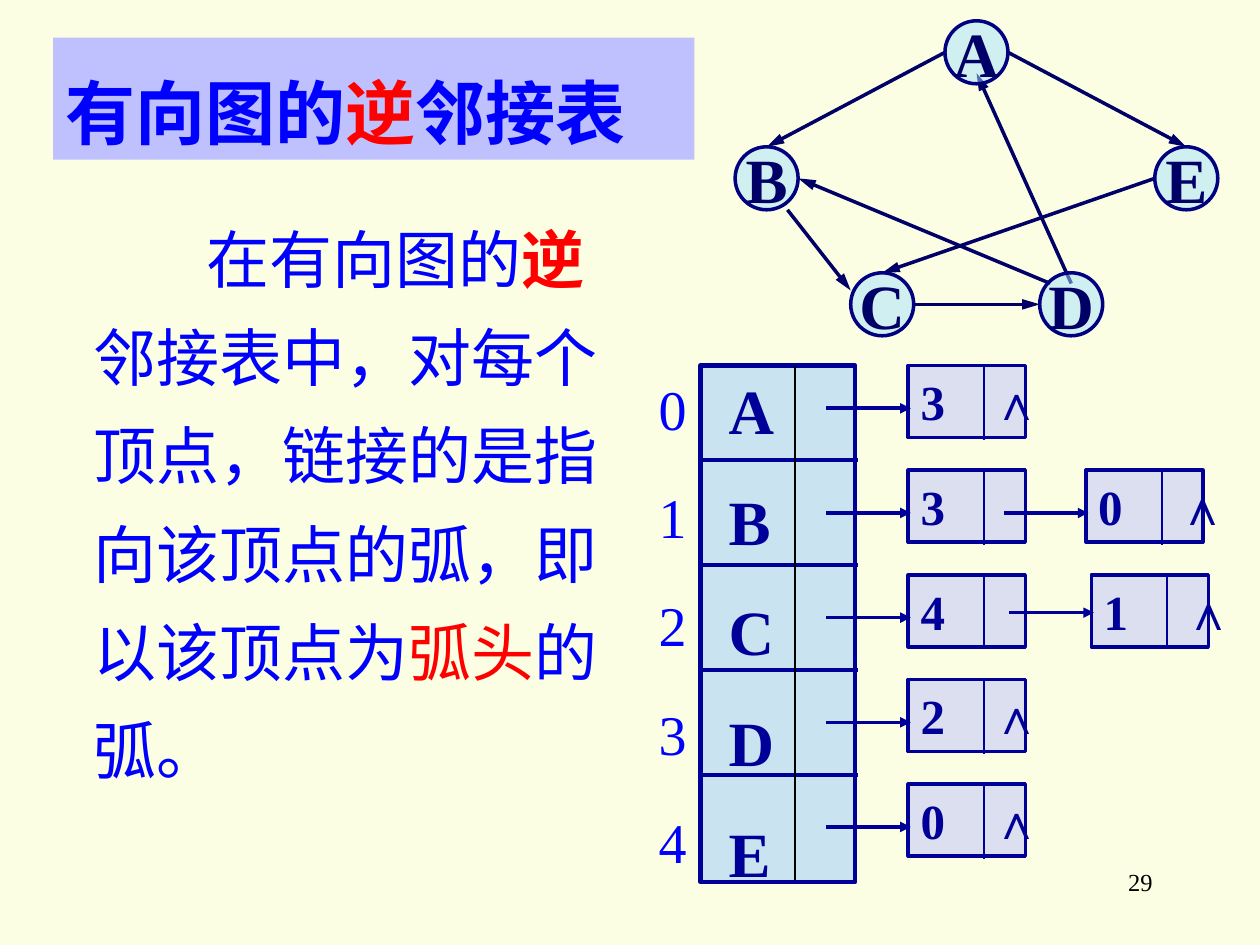
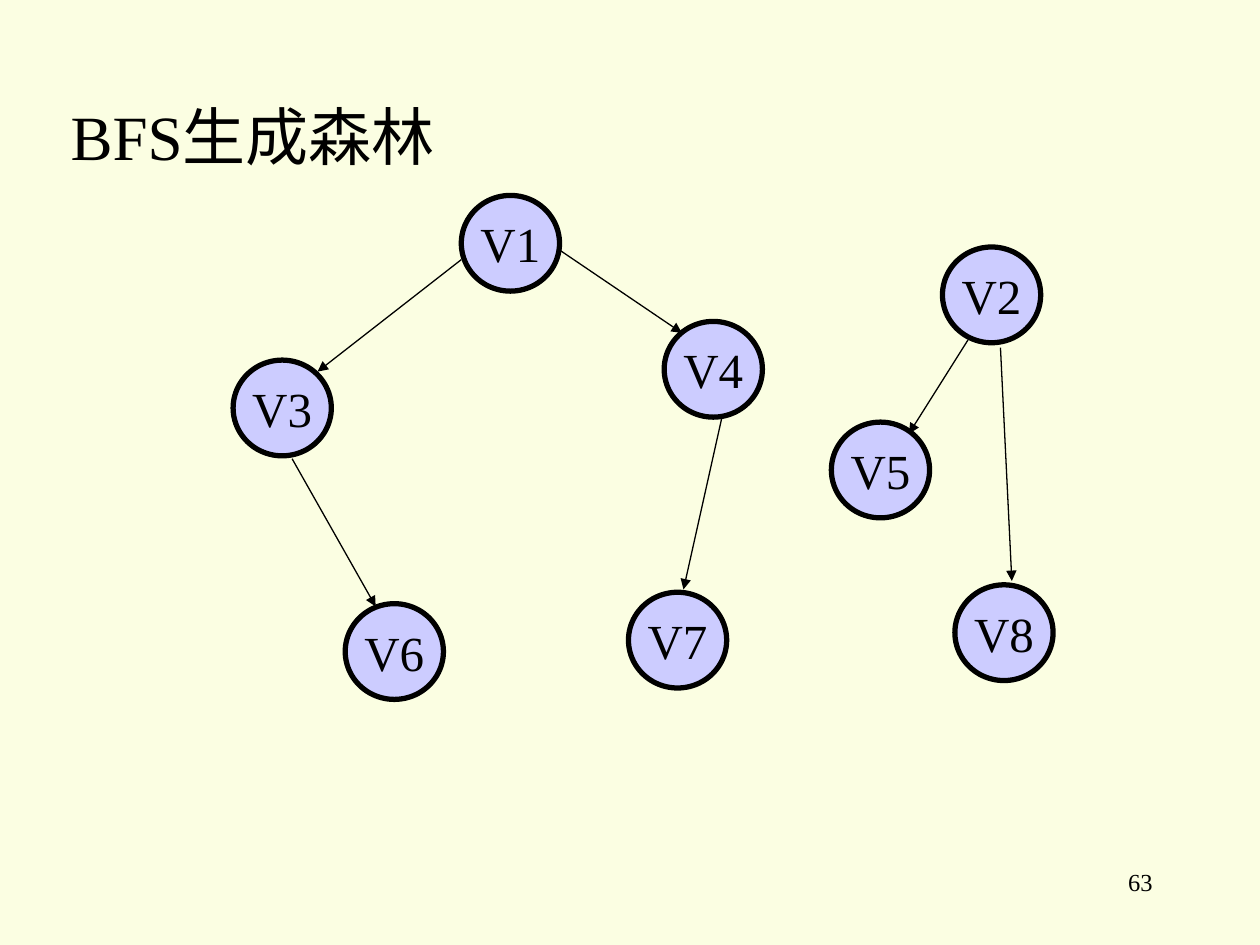
from pptx import Presentation
from pptx import util as u
from pptx.dml.color import RGBColor
from pptx.enum import shapes, text
from pptx.oxml.ns import qn
from lxml import etree

# Shared look
CREAM, LILAC, BLUE, RED, BLACK = "FBFEE2", "BEC1FE", "0000FF", "FF0000", "000000"
NAVY, INK, DEEP, SKY, ICE, MAUVE = "000080", "000066", "000099", "99CCFF", "A7E2FF", "CCCCFF"
SERIF, SANS = "Times New Roman", "Arial"
LEFT, MID, RIGHT = text.PP_ALIGN.LEFT, text.PP_ALIGN.CENTER, text.PP_ALIGN.RIGHT

# Content: runs are (text, colour, bold); lengths are in centimetres
HEAD = [("有向图的", BLUE, True), ("逆", RED, True), ("邻接表", BLUE, True)]
BODY = [("在有向图的", BLUE, False), ("逆", RED, True),
        ("邻接表中，对每个顶点，链接的是指向该顶点的弧，即以该顶点为", BLUE, False),
        ("弧头", RED, False), ("的弧。", BLUE, False)]

# Graphs: node corners, then edges whose ends are fractions of the node box
ARCS = {
    "nodes": {"A": (19.05, 0.42), "B": (14.82, 2.96), "E": (23.28, 2.96),
              "C": (17.15, 5.5), "D": (20.96, 5.5)},
    "edges": [("A", 0, .5, "B", .5, 0), ("B", .83, 1, "C", 0, .28),
              ("C", 1, .5, "D", 0, .5), ("D", .5, .17, "A", .5, .83),
              ("A", 1, .5, "E", .5, 0), ("D", .17, .17, "B", 1, .5),
              ("E", 0, .5, "C", .5, 0)],
    "size": (1.27, 1.27), "fill": ICE, "alpha": 50, "rim": (NAVY, 2),
    "arrow": (INK, 2, "lg"), "font": (36, INK, True)}
TREES = {
    "nodes": {"V1": (9.3, 3.94), "V2": (19, 4.98), "V3": (4.7, 7.26), "V4": (13.39, 6.48),
              "V5": (16.76, 8.51), "V6": (6.96, 12.17), "V7": (12.67, 11.94),
              "V8": (19.25, 11.79)},
    "edges": [("V1", 0, .67, "V3", .86, .12), ("V1", 1, .57, "V4", .18, .12),
              ("V3", .6, 1.03, "V6", .31, .03), ("V2", .59, 1.05, "V8", .58, -.04),
              ("V4", .59, .99, "V7", .56, -.03), ("V2", .26, .97, "V5", .79, .12)],
    "size": (1.98, 1.93), "fill": MAUVE, "alpha": 100, "rim": (BLACK, 3),
    "arrow": (BLACK, .75, "med"), "font": (28, BLACK, False)}

# Inverse lists: each cell is (index, left, arrow drop)
FIRST = 18.31
CHAINS = [("A", [("3", FIRST, .86)]),
          ("B", [("3", FIRST, .86), ("0", 21.89, .86)]),
          ("C", [("4", FIRST, .86), ("1", 22, .76)]),
          ("D", [("2", FIRST, .86)]),
          ("E", [("0", FIRST, .86)])]


def rgb(code):
    return RGBColor.from_string(code)


def write(shape, paras, size, font=SERIF, align=LEFT, gap=0, lines=None,
          wrap=True, grow=False, anchor=text.MSO_ANCHOR.TOP):
    frame = shape.text_frame
    frame.word_wrap, frame.vertical_anchor = wrap, anchor
    frame.auto_size = (text.MSO_AUTO_SIZE.SHAPE_TO_FIT_TEXT if grow
                       else text.MSO_AUTO_SIZE.NONE)
    for i, runs in enumerate(paras):
        para = frame.add_paragraph() if i else frame.paragraphs[0]
        para.alignment = align
        if i and gap:
            para.space_before = u.Pt(gap)
        if lines:
            para.line_spacing = lines
        for words, color, bold in runs:
            run = para.add_run()
            run.text = words
            run.font.name, run.font.size, run.font.bold = font, u.Pt(size), bold
            run.font.color.rgb = rgb(color)
    return frame


def box(slide, x, y, w, h):
    return slide.shapes.add_textbox(u.Cm(x), u.Cm(y), u.Cm(w), u.Cm(h))


def block(slide, kind, x, y, w, h, fill, alpha, rim):
    shape = slide.shapes.add_shape(kind, u.Cm(x), u.Cm(y), u.Cm(w), u.Cm(h))
    shape.shadow.inherit = False
    shape.fill.solid()
    shape.fill.fore_color.rgb = rgb(fill)
    if alpha < 100:
        tint = shape.fill._xPr.find(qn("a:solidFill"))[0]
        etree.SubElement(tint, qn("a:alpha"), val=str(alpha * 1000))
    shape.line.color.rgb, shape.line.width = rgb(rim[0]), u.Pt(rim[1])
    return shape


def line(slide, x1, y1, x2, y2, color, width, head=None):
    link = slide.shapes.add_connector(shapes.MSO_CONNECTOR.STRAIGHT,
                                      u.Cm(x1), u.Cm(y1), u.Cm(x2), u.Cm(y2))
    link.line.color.rgb, link.line.width = rgb(color), u.Pt(width)
    if head:
        etree.SubElement(link.line._get_or_add_ln(), qn("a:tailEnd"),
                         type="triangle", w="med", len=head)
    etree.SubElement(link._element.spPr, qn("a:effectLst"))


def start(deck, number, runs, place, size, **style):
    slide = deck.slides.add_slide(deck.slide_layouts[5])
    title = slide.shapes.title
    title.left, title.top, title.width, title.height = map(u.Cm, place)
    write(title, [runs], size, **style)
    page = box(slide, 18.21, 17.35, 5.28, 1.27)
    write(page, [[(number, BLACK, False)]], 14, align=RIGHT)
    return slide


def graph(slide, net):
    nodes, (w, h) = net["nodes"], net["size"]
    color, width, head = net["arrow"]
    for a, ax, ay, b, bx, by in net["edges"]:
        (x1, y1), (x2, y2) = nodes[a], nodes[b]
        line(slide, x1 + ax * w, y1 + ay * h, x2 + bx * w, y2 + by * h, color, width, head)
    size, ink, bold = net["font"]
    for name, (x, y) in nodes.items():
        disc = block(slide, shapes.MSO_SHAPE.OVAL, x, y, w, h,
                     net["fill"], net["alpha"], net["rim"])
        write(disc, [[(name, ink, bold)]], size, align=MID, wrap=False,
              anchor=text.MSO_ANCHOR.MIDDLE)


def lists(slide):
    rect, left, top, step = shapes.MSO_SHAPE.RECTANGLE, 14.12, 7.37, 2.11
    # Vertex column with its rules and row numbers
    table = block(slide, rect, left, top, 3.12, 10.41, SKY, 50, (DEEP, 2.5))
    frame = write(table, [[(name, DEEP, True)] for name, _ in CHAINS], 36, gap=20)
    frame.margin_left = u.Cm(.57)
    for i in range(len(CHAINS) - 1):
        y = 9.27 + 2.12 * i
        line(slide, left, y, left + 3.18, y, DEEP, 2.25)
    line(slide, 16.03, top, 16.03, 17.73, BLACK, 1)
    marks = [[(str(i), BLUE, False)] for i in range(len(CHAINS))]
    write(box(slide, 13.03, 7.42, 1.07, 10.13), marks, 32, gap=23.5, wrap=False, grow=True)
    # Linked cells; the last one in each row holds the end mark
    for i, (_, cells) in enumerate(CHAINS):
        y = top + step * i
        for index, x, drop in cells:
            cell = block(slide, rect, x, y, 2.36, 1.45, LILAC, 50, (DEEP, 2))
            write(cell, [[(index, DEEP, True)]], 28)
            line(slide, x + 1.53, y + .03, x + 1.53, y + 1.5, DEEP, 1)
            line(slide, x - 1.65, y + drop, x + .05, y + drop, DEEP, 2, "med")
        shift = 1.45 if len(cells) == 1 else 1.62
        write(box(slide, x + shift, y, .84, 1.45), [[("∧", DEEP, True)]], 28,
              font=SANS, wrap=False, grow=True)


def main():
    deck = Presentation()
    deck.slide_width, deck.slide_height = u.Cm(25.4), u.Cm(19.05)
    back = deck.slide_master.background.fill
    back.solid()
    back.fore_color.rgb = rgb(CREAM)

    # Inverse adjacency list
    slide = start(deck, "29", HEAD, (1.07, .76, 12.93, 2.46), 40, lines=1.3)
    band = slide.shapes.title.fill
    band.solid()
    band.fore_color.rgb = rgb(LILAC)
    graph(slide, ARCS)
    frame = write(box(slide, 1.63, 3.86, 11.23, 12.14), [BODY], 36, lines=1.3)
    frame.paragraphs[0]._p.get_or_add_pPr().set("indent", str(u.Cm(2.28)))
    lists(slide)

    # Breadth-first forest
    slide = start(deck, "63", [("BFS生成森林", BLACK, False)], (1.17, 1.83, 8.15, 1.78), 36,
                  wrap=False, grow=True)
    graph(slide, TREES)
    deck.save("out.pptx")


if __name__ == "__main__":
    main()
